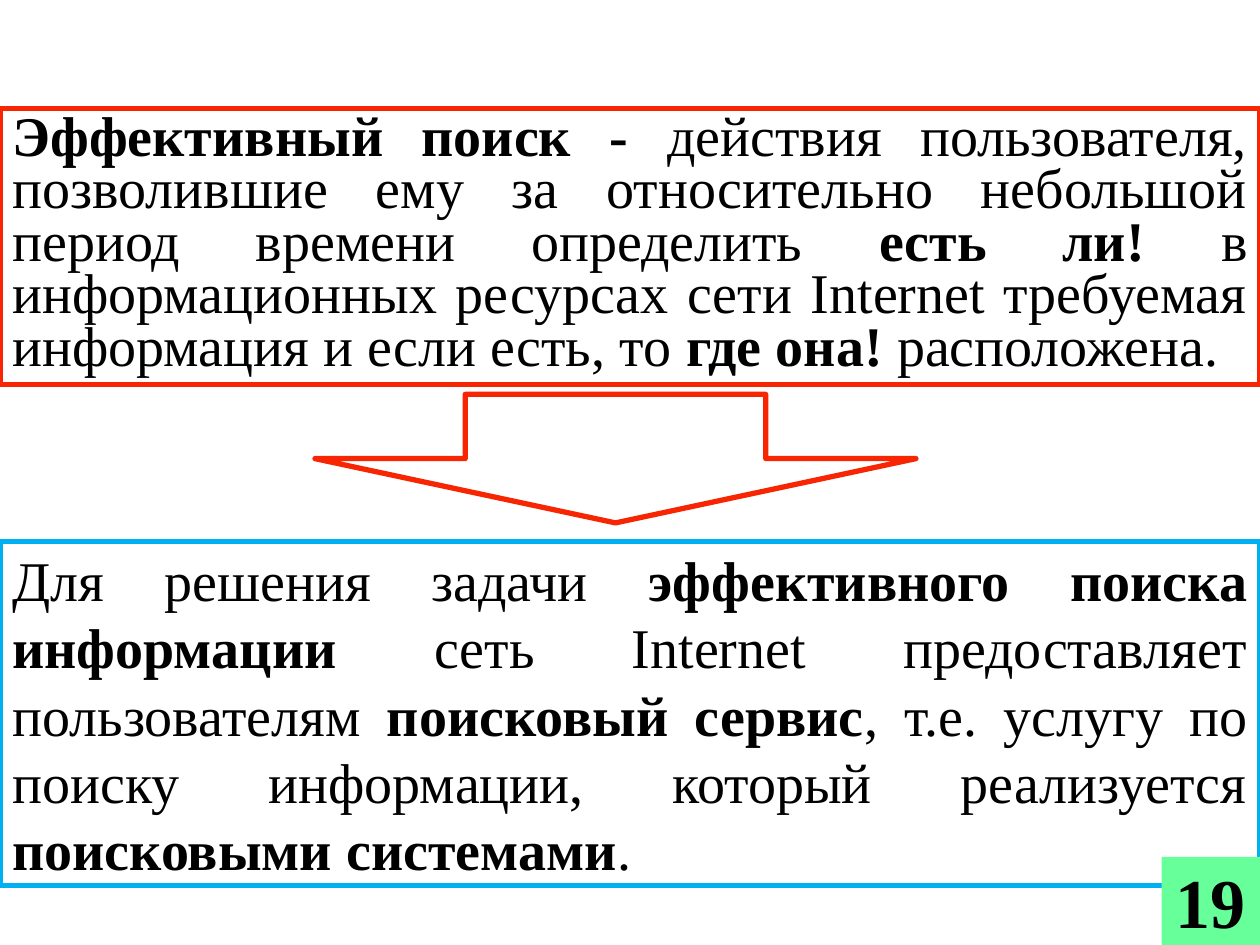
from pptx import Presentation
from pptx.dml.color import RGBColor as RGB
from pptx.enum.shapes import MSO_SHAPE as Kind
from pptx.enum.text import MSO_ANCHOR as Anchor, PP_ALIGN as Align
from pptx.util import Inches, Pt

# Content: (text, bold) pairs
GOAL = [
    ("Эффективный поиск - ", True),
    ("действия пользователя, позволившие ему за относительно небольшой "
     "период времени определить ", False),
    ("есть ли! ", True),
    ("в информационных ресурсах сети Internet требуемая информация "
     "и если есть, то ", False),
    ("где она! ", True),
    ("расположена.", False),
]
MEANS = [
    ("Для решения задачи ", False),
    ("эффективного поиска информации ", True),
    ("сеть Internet предоставляет пользователям ", False),
    ("поисковый сервис", True),
    (", т.е. услугу по поиску информации, который реализуется ", False),
    ("поисковыми системами", True),
    (".", False),
]
PAGE = [("19", True)]

THEME = {
    "font": "Times New Roman", "body": 32, "page": 40, "line": 3,
    "ink": "000000", "paper": "FFFFFF",
    "red": "F82502", "blue": "00B0F0", "green": "66FF99",
}


def color(name):
    return RGB.from_string(THEME[name])


def add_form(slide, kind, area, fill, edge=None):
    form = slide.shapes.add_shape(kind, *map(Inches, area))
    form.shadow.inherit = False
    form.fill.solid()
    form.fill.fore_color.rgb = color(fill)
    if edge:
        form.line.color.rgb = color(edge)
        form.line.width = Pt(THEME["line"])
    else:
        form.line.fill.background()
    return form


def add_text(form, parts, size, align, pitch=None):
    frame = form.text_frame
    frame.word_wrap = True
    frame.vertical_anchor = Anchor.MIDDLE
    para = frame.paragraphs[0]
    para.alignment = align
    if pitch:
        para.line_spacing = Pt(pitch)
    for text, bold in parts:
        run = para.add_run()
        run.text = text
        font = run.font
        font.name, font.size, font.bold = THEME["font"], Pt(THEME[size]), bold
        font.color.rgb = color("ink")


def main():
    deck = Presentation()
    deck.slide_width, deck.slide_height = Inches(10), Inches(7.5)
    slide = deck.slides.add_slide(deck.slide_layouts[6])

    # Definition and conclusion
    for parts, top, high, edge, pitch in [
        (GOAL, 0.86, 2.19, "red", 30),
        (MEANS, 4.3, 2.73, "blue", 38.5),
    ]:
        box = add_form(slide, Kind.RECTANGLE, (0, top, 10, high), "paper", edge)
        add_text(box, parts, "body", Align.JUSTIFY, pitch)

    # Arrow between the boxes
    add_form(slide, Kind.DOWN_ARROW, (2.5, 3.13, 4.77, 1.02), "paper", "red")

    # Page number
    tag = add_form(slide, Kind.RECTANGLE, (9.22, 6.8, 0.78, 0.7), "green")
    add_text(tag, PAGE, "page", Align.CENTER)

    deck.save("out.pptx")


if __name__ == "__main__":
    main()
